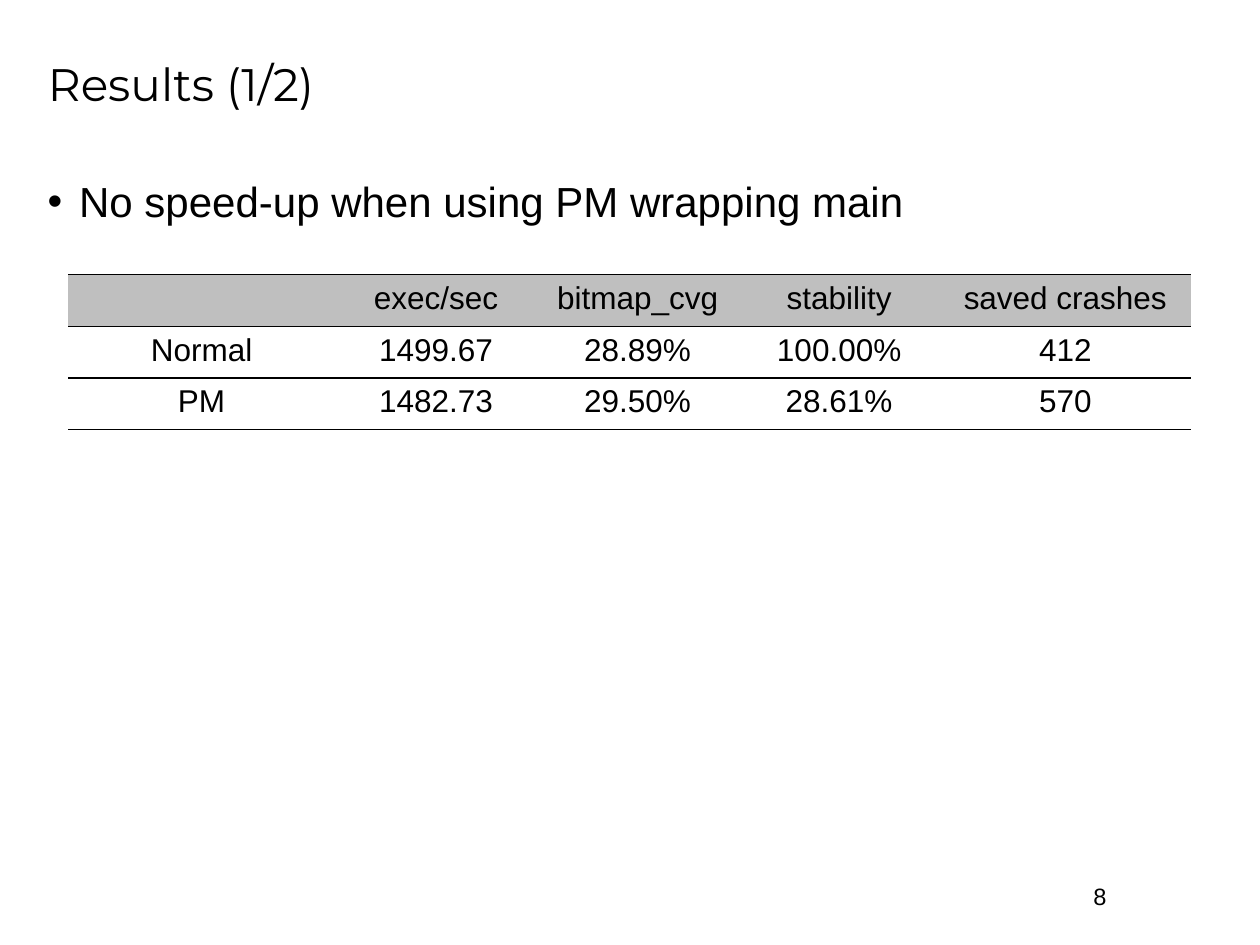
from lxml.etree import SubElement
from pptx import Presentation
from pptx.dml.color import RGBColor
from pptx.enum.text import MSO_ANCHOR, PP_ALIGN
from pptx.oxml.ns import qn
from pptx.util import Inches, Pt

# Content
TITLE = "Results (1/2)"
FINDING = "No speed-up when using PM wrapping main"
PAGE_NUMBER = "8"
RESULTS = [
    ("", "exec/sec", "bitmap_cvg", "stability", "saved crashes"),
    ("Normal", "1499.67", "28.89%", "100.00%", "412"),
    ("PM", "1482.73", "29.50%", "28.61%", "570"),
]
COLUMN_WIDTHS = (2.12, 1.6, 1.6, 1.6, 1.99)
ROW_HEIGHT = 0.41
BLACK, HEADER_GREY = "000000", "BFBFBF"


def color(hex_string):
    return RGBColor.from_string(hex_string)


def format_font(paragraph, size, name="Arial"):
    paragraph.font.size = Pt(size)
    paragraph.font.name = name
    paragraph.font.color.rgb = color(BLACK)


def add_text(text, size, left, top, width, height, wrap):
    box = slide.shapes.add_textbox(*map(Inches, (left, top, width, height)))
    box.text_frame.word_wrap = wrap
    paragraph = box.text_frame.paragraphs[0]
    paragraph.text = text
    format_font(paragraph, size)
    return paragraph


def rule_cell(cell):
    """Black rules above and below, none at the sides."""
    properties = cell._tc.get_or_add_tcPr()
    for side in ("lnL", "lnR", "lnT", "lnB"):
        line = SubElement(properties, qn(f"a:{side}"), w=str(Pt(1)))
        if side in ("lnL", "lnR"):
            SubElement(line, qn("a:noFill"))
        else:
            fill = SubElement(line, qn("a:solidFill"))
            SubElement(fill, qn("a:srgbClr"), val=BLACK)


presentation = Presentation()
presentation.slide_width, presentation.slide_height = Inches(10), Inches(7.5)
slide = presentation.slides.add_slide(presentation.slide_layouts[5])

# Title
title = slide.shapes.title
title.left, title.top = Inches(0.28), Inches(0.17)
title.width, title.height = Inches(9.44), Inches(1.03)
title.text_frame.text = TITLE
title.text_frame.vertical_anchor = MSO_ANCHOR.MIDDLE
heading = title.text_frame.paragraphs[0]
heading.alignment = PP_ALIGN.LEFT
heading.line_spacing = 0.9
format_font(heading, 26, "Montserrat")

# Bulleted finding
finding = add_text(FINDING, 24, 0.28, 1.39, 9.44, 5.37, True)
finding.line_spacing = 0.9
finding.space_before = Pt(10)
bullet = finding._p.get_or_add_pPr()
bullet.set("marL", str(Inches(0.25)))
bullet.set("indent", str(Inches(-0.25)))
bullet_font = SubElement(bullet, qn("a:buFont"), typeface="Arial")
bullet_char = SubElement(bullet, qn("a:buChar"), char="•")
for run_defaults in bullet.findall(qn("a:defRPr")):
    bullet.append(run_defaults)  # the schema wants these after the bullet

# Results table
results = slide.shapes.add_table(
    len(RESULTS), len(COLUMN_WIDTHS), Inches(0.54), Inches(2.18),
    Inches(sum(COLUMN_WIDTHS)), Inches(ROW_HEIGHT * len(RESULTS))).table
results.first_row = results.horz_banding = False
for column, width in zip(results.columns, COLUMN_WIDTHS):
    column.width = Inches(width)
for row_index, values in enumerate(RESULTS):
    results.rows[row_index].height = Inches(ROW_HEIGHT)
    for column_index, value in enumerate(values):
        cell = results.cell(row_index, column_index)
        cell.text = value
        rule_cell(cell)
        if row_index == 0:
            cell.fill.solid()
            cell.fill.fore_color.rgb = color(HEADER_GREY)
        else:
            cell.fill.background()
        entry = cell.text_frame.paragraphs[0]
        entry.alignment = PP_ALIGN.CENTER
        format_font(entry, 18)

# Page number
add_text(PAGE_NUMBER, 13.5, 8.58, 6.95, 0.43, 0.33, False)

presentation.save("out.pptx")
